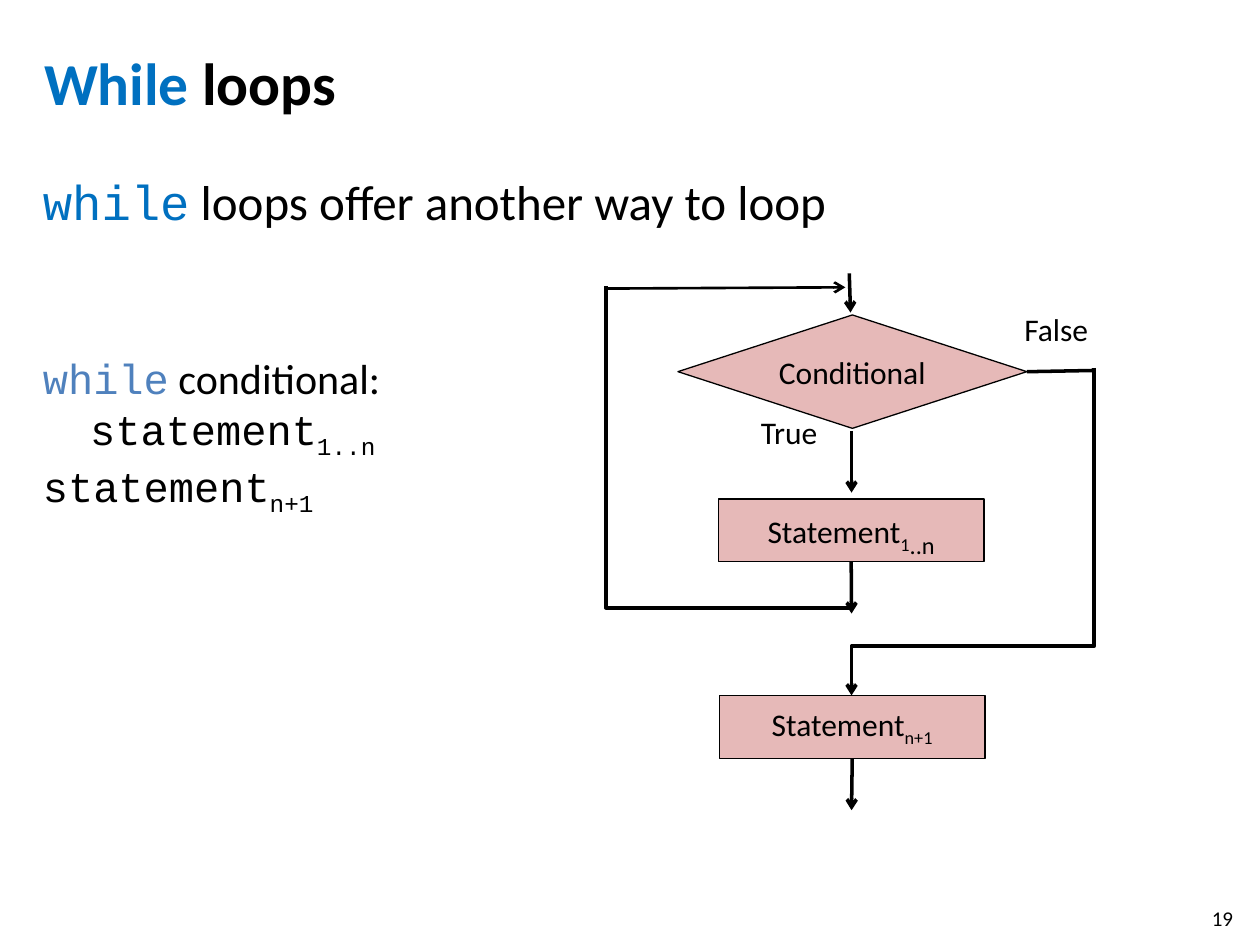
from lxml import etree
from pptx import Presentation
from pptx.dml.color import RGBColor
from pptx.enum import shapes, text
from pptx.oxml.ns import qn
from pptx.util import Pt

COLORS = {"ink": "000000", "blue": "0070C0", "keyword": "4F81BD", "pink": "E6B9B8"}
SANS, MONO = "Calibri", "Courier New"


def rgb(name):
    return RGBColor.from_string(COLORS[name])


class FlowSlide:
    def __init__(self, slide):
        self.slide = slide

    def place(self, shape, left, top, width, height):
        shape.left, shape.top = Pt(left), Pt(top)
        shape.width, shape.height = Pt(width), Pt(height)

    def add_runs(self, paragraph, runs, size, font=SANS):
        """Add runs given as (wording, overrides) pairs."""
        paragraph.font.size = Pt(size)
        paragraph.font.name = font
        paragraph.font.color.rgb = rgb("ink")
        for wording, style in runs:
            run = paragraph.add_run()
            run.text = wording
            if "color" in style:
                run.font.color.rgb = rgb(style["color"])
            if "font" in style:
                run.font.name = style["font"]
            if "size" in style:
                run.font.size = Pt(style["size"])
            if style.get("sub"):
                run.font._element.set("baseline", "-25000")

    def title(self, box, runs):
        title = self.slide.shapes.title
        self.place(title, *box)
        paragraph = title.text_frame.paragraphs[0]
        paragraph.alignment = text.PP_ALIGN.LEFT
        self.add_runs(paragraph, runs, 34)
        paragraph.font.bold = True

    def body(self, box, lines):
        """Fill the body from (runs, size, font, indent, before, after) lines."""
        body = self.slide.placeholders[1]
        self.place(body, *box)
        frame = body.text_frame
        frame.auto_size = text.MSO_AUTO_SIZE.NONE
        for i, (runs, size, font, indent, before, after) in enumerate(lines):
            paragraph = frame.add_paragraph() if i else frame.paragraphs[0]
            paragraph.space_before, paragraph.space_after = Pt(before), Pt(after)
            props = paragraph._p.get_or_add_pPr()
            props.set("marL", str(Pt(indent)))
            props.set("indent", "0")
            etree.SubElement(props, qn("a:buNone"))
            self.add_runs(paragraph, runs, size, font)

    def label(self, box, wording, size=18):
        label = self.slide.shapes.add_textbox(*map(Pt, box))
        label.text_frame.word_wrap = True
        self.add_runs(label.text_frame.paragraphs[0], [(wording, {})], size)

    def node(self, kind, box, runs):
        node = self.slide.shapes.add_shape(kind, *map(Pt, box))
        node.shadow.inherit = False
        node.fill.solid()
        node.fill.fore_color.rgb = rgb("pink")
        node.line.color.rgb = rgb("ink")
        node.line.width = Pt(0.75)
        node.text_frame.vertical_anchor = text.MSO_ANCHOR.MIDDLE
        paragraph = node.text_frame.paragraphs[0]
        paragraph.alignment = text.PP_ALIGN.CENTER
        self.add_runs(paragraph, runs, 18)
        return node

    def connector(self, kind, start, end, arrow, width):
        line = self.slide.shapes.add_connector(kind, *map(Pt, start + end))
        line.line.color.rgb = rgb("ink")
        line.line.width = Pt(width)
        if arrow:
            etree.SubElement(line.line._get_or_add_ln(), qn("a:tailEnd"), type="arrow")
        etree.SubElement(line._element.spPr, qn("a:effectLst"))
        return line

    def straight(self, start, end, arrow=True, width=2, source=None, site=2):
        line = self.connector(shapes.MSO_CONNECTOR.STRAIGHT, start, end, arrow, width)
        if source is not None:
            line.begin_connect(source, site)

    def elbow(self, start, end, bend, arrow=True):
        """Draw a vertical-horizontal-vertical elbow as a turned connector.

        bend is the share of the height at which the line turns.
        """
        (x1, y1), (x2, y2) = start, end
        across, down = abs(x2 - x1), y2 > y1
        mid_x, mid_y = (x1 + x2) / 2, (y1 + y2) / 2
        half_w, half_h = abs(y2 - y1) / 2, across / 2
        if (x2 < x1) != down:
            half_h = -half_h
        line = self.connector(shapes.MSO_CONNECTOR.ELBOW,
                              (mid_x - half_w, mid_y - half_h),
                              (mid_x + half_w, mid_y + half_h), arrow, 2)
        props = line._element.spPr
        props.find(qn("a:xfrm")).set("rot", str((90 if down else 270) * 60000))
        adjustments = props.find(qn("a:prstGeom")).find(qn("a:avLst"))
        etree.SubElement(adjustments, qn("a:gd"), name="adj1",
                         fmla=f"val {round(bend * 100000)}")


def main():
    deck = Presentation()
    deck.slide_width, deck.slide_height = Pt(720), Pt(540)
    page = FlowSlide(deck.slides.add_slide(deck.slide_layouts[1]))

    page.title((18, 21.6, 624, 50.4), [("While", {"color": "blue"}), (" loops", {})])
    page.body((17.3, 94.3, 666, 355), [
        ([("while", {"font": MONO, "color": "blue"}),
          (" loops offer another way to loop", {})], 28, SANS, 0, 0, 12),
        ([("while", {"font": MONO, "color": "keyword"}),
          (" conditional:", {})], 24, SANS, 0, 58, 0),
        ([("statement", {}), ("1..n", {"sub": True})], 24, MONO, 27, 0, 0),
        ([("statement", {}), ("n+1", {"sub": True})], 24, MONO, 0, 0, 0),
    ])
    page.label((685.4, 514, 28.8, 17.3), "19", 12)

    axis = 486.6
    node_w, node_h = 152, 36
    loop_x, exit_x = 346.3, 625.2
    decision_box = (387.4, 180, 199.4, 64.8)
    loop_box = (410.4, 285.1, node_w, node_h)
    next_box = (411, 397.4, node_w, node_h)

    loop_node = page.node(shapes.MSO_SHAPE.RECTANGLE, loop_box, [
        ("Statement", {}), ("1", {"sub": True}), ("..n", {"sub": True, "size": 24})])
    decision = page.node(shapes.MSO_SHAPE.FLOWCHART_DECISION, decision_box,
                         [("Conditional", {})])
    next_node = page.node(shapes.MSO_SHAPE.RECTANGLE, next_box, [
        ("Statement", {}), ("n+1", {"sub": True})])
    page.label((427.7, 232.6, 48.2, 28.8), "True")
    page.label((578.2, 173.5, 77.8, 28.8), "False")

    page.straight((485.3, 156.2), (486, 178.6))
    page.straight((axis, 246.2), (axis, 281.5))
    page.straight((axis, 321.1), (axis, 350.6), source=loop_node)
    page.straight((axis, 433.4), (axis, 463), source=next_node)
    page.straight((loop_x, 164.9), (483.1, 164.2), width=1.5)
    page.straight((586.8, 212.4), (exit_x, 211.7), arrow=False, source=decision, site=3)
    page.elbow((axis, 347.4), (loop_x, 163.4), 0, arrow=False)
    page.elbow((exit_x, 210.2), (axis, 397.4), 0.85)

    deck.save("out.pptx")


if __name__ == "__main__":
    main()
